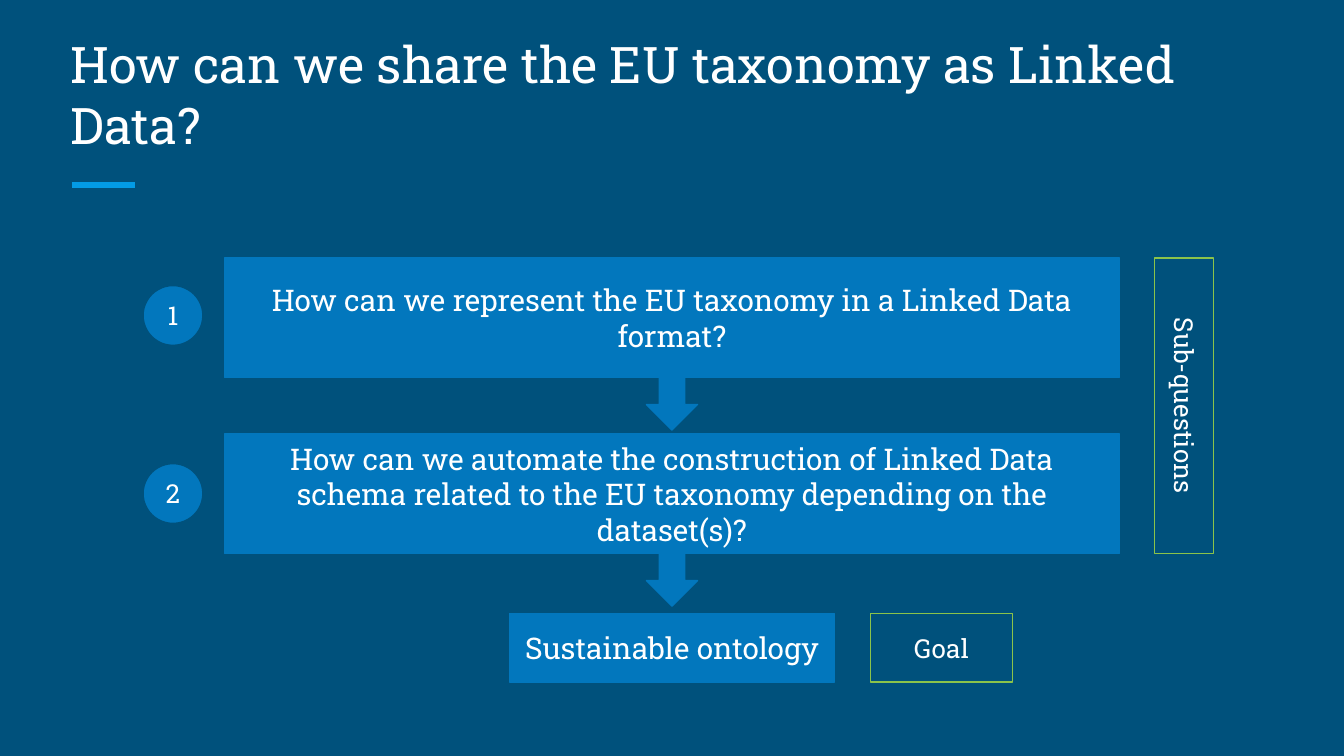
"""Build the slide on sharing the EU taxonomy as Linked Data."""
from lxml.etree import SubElement
from pptx import Presentation
from pptx.dml.color import RGBColor
from pptx.enum.shapes import MSO_CONNECTOR as Connector, MSO_SHAPE as Shape
from pptx.enum.text import MSO_ANCHOR as Anchor, MSO_AUTO_SIZE as AutoSize, PP_ALIGN as Align
from pptx.oxml.ns import qn
from pptx.util import Pt

PX = 4572
FONT = "Roboto Slab"
NAVY, BLUE, SKY, GREEN, WHITE = "00517C", "0277BD", "039BE5", "8BC34A", "FFFFFF"
color = RGBColor.from_string


def write(shape, text, size, align, anchor):
    frame = shape.text_frame
    frame.text = text
    frame.word_wrap = True
    frame.auto_size = AutoSize.NONE
    frame.vertical_anchor = anchor
    frame.margin_left = frame.margin_right = frame.margin_top = frame.margin_bottom = 20 * PX
    para = frame.paragraphs[0]
    para.alignment = align
    para.line_spacing = 1.0
    para.space_before = Pt(0)
    para.font.name = FONT
    para.font.size = Pt(size)
    para.font.color.rgb = color(WHITE)


def add_block(kind, bounds, fill, line, text="", size=14, anchor=Anchor.MIDDLE):
    block = page.shapes.add_shape(kind, *(length * PX for length in bounds))
    block.shadow.inherit = False
    if fill:
        block.fill.solid()
        block.fill.fore_color.rgb = color(fill)
    else:
        block.fill.background()
    block.line.color.rgb = color(line)
    block.line.width = Pt(0.75)
    if text:
        write(block, text, size, Align.CENTER, anchor)
    return block


deck = Presentation()
deck.slide_width, deck.slide_height = 2000 * PX, 1125 * PX
page = deck.slides.add_slide(deck.slide_layouts[5])
page.background.fill.solid()
page.background.fill.fore_color.rgb = color(NAVY)

accent = page.shapes.add_connector(Connector.STRAIGHT, 107 * PX, 275 * PX, 201 * PX, 275 * PX)
accent.line.color.rgb = color(SKY)
accent.line.width = Pt(3)
SubElement(accent._element.spPr, qn("a:effectLst"))

title = page.shapes.title
title.left, title.top, title.width, title.height = 85 * PX, 100 * PX, 1830 * PX, 150 * PX
write(title, "How can we share the EU taxonomy as Linked Data?", 27, Align.LEFT, Anchor.BOTTOM)

questions = [
    "How can we represent the EU taxonomy in a Linked Data format?",
    "How can we automate the construction of Linked Data schema related to the EU taxonomy "
    "depending on the dataset(s)?",
]
for index, question in enumerate(questions):
    top = 384 + 262 * index
    add_block(Shape.DOWN_ARROW, (962, top + 154, 76, 102), BLUE, BLUE)
    add_block(Shape.RECTANGLE, (334, top, 1332, 178), BLUE, BLUE, question, 16)
    add_block(Shape.OVAL, (213, 425 + 265 * index, 89, 89), BLUE, NAVY, str(index + 1))

add_block(Shape.RECTANGLE, (758, 913, 484, 102), BLUE, BLUE, "Sustainable ontology", 16)
side_label = add_block(Shape.RECTANGLE, (1542, 560, 440, 88), None, GREEN, "Sub-questions", anchor=Anchor.TOP)
side_label.rotation = 90
add_block(Shape.RECTANGLE, (1295, 913, 212, 102), None, GREEN, "Goal")

deck.save("out.pptx")
